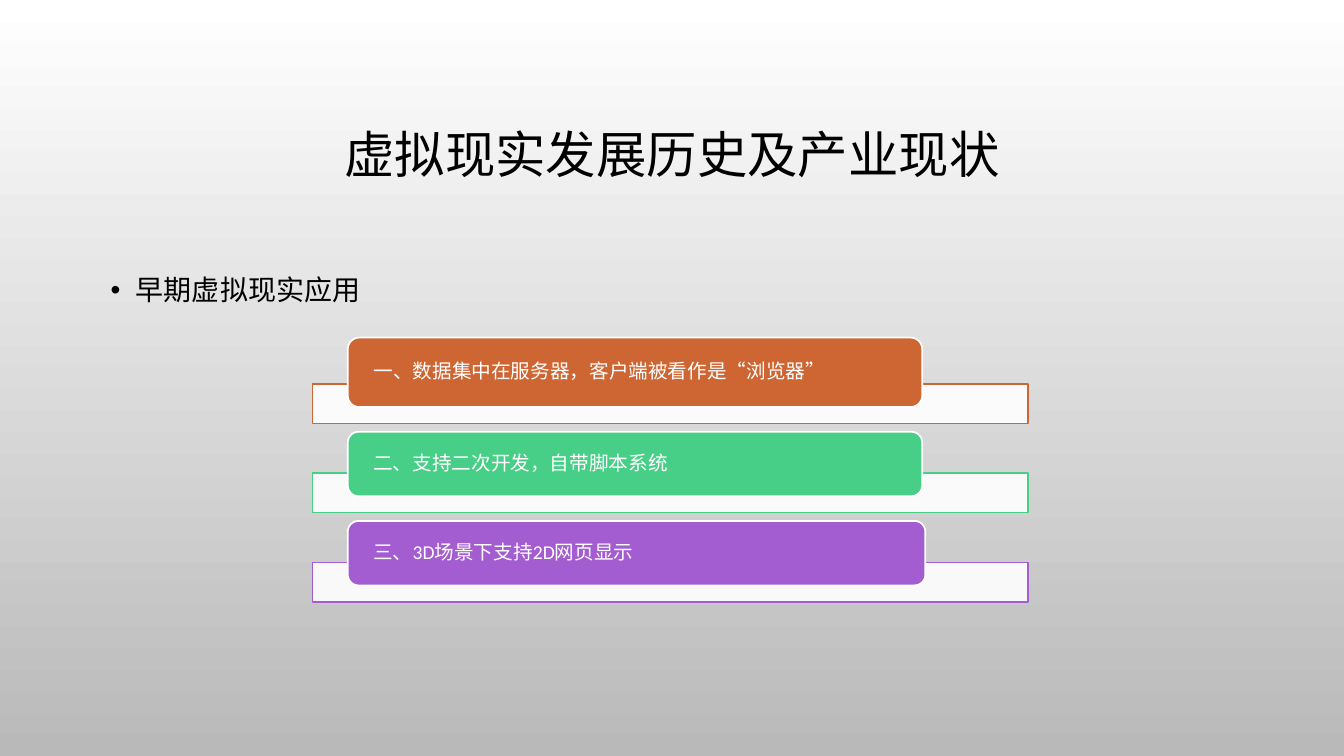
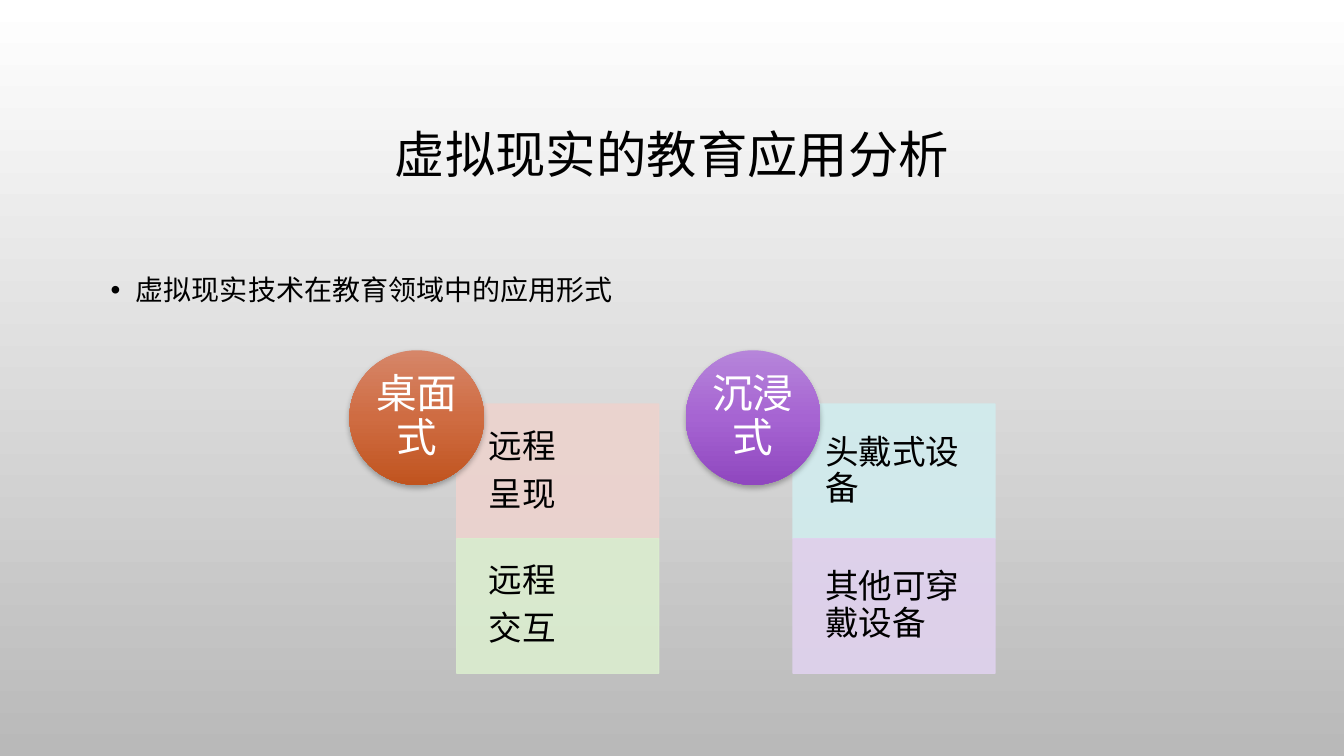
from copy import deepcopy
from dataclasses import dataclass

from lxml.etree import SubElement
from pptx import Presentation
from pptx.dml.color import RGBColor
from pptx.enum.shapes import MSO_SHAPE as Preset
from pptx.enum.text import MSO_ANCHOR as Anchor, MSO_AUTO_SIZE as AutoSize, PP_ALIGN as Align
from pptx.oxml.ns import qn
from pptx.util import Pt


@dataclass(frozen=True)
class Theme:
    font: str = "Calibri"
    black: str = "000000"
    white: str = "FFFFFF"
    backdrop: tuple = ("FFFFFF", "B9B9B9")
    orange: str = "CE6633"
    green: str = "48CF87"
    purple: str = "A35DD1"
    orange_ball: tuple = ("D68669", "CF6C42", "C0541F")
    purple_ball: tuple = ("B685DA", "A664D2", "8F47BF")
    pale_orange: str = "EDD3CE"
    pale_green: str = "DBEDCF"
    pale_blue: str = "D1ECEE"
    pale_purple: str = "E0D2EE"
    title_size: float = 36
    ball_size: float = 29
    cell_size: float = 24
    bullet_size: float = 20
    bar_size: float = 14


THEME = Theme()
TITLE_ONLY = 5


def set_gradient(fill, colors):
    """Fill from top to bottom with evenly spaced colours."""
    fill.gradient()
    fill.gradient_angle = 270
    last = fill.gradient_stops[-1]._gs
    for _ in colors[2:]:
        last.addprevious(deepcopy(last))
    # The stop collection is read again to include the added stops.
    for index, (stop, color) in enumerate(zip(fill.gradient_stops, colors)):
        stop.position = index / (len(colors) - 1)
        stop.color.rgb = RGBColor.from_string(color)


def set_solid(fill, color, opacity=100):
    fill.solid()
    fill.fore_color.rgb = RGBColor.from_string(color)
    if opacity < 100:
        element = fill._xPr.find(qn("a:solidFill")).find(qn("a:srgbClr"))
        SubElement(element, qn("a:alpha"), val=str(opacity * 1000))


class SlideBuilder:
    """Holds the deck, its theme and the slide being filled."""

    def __init__(self, theme):
        self.theme = theme
        self.deck = Presentation()
        self.deck.slide_width, self.deck.slide_height = Pt(960), Pt(540)
        set_gradient(self.deck.slide_master.background.fill, theme.backdrop)
        self.page = None

    def start_page(self, title, subtitle, subtitle_width):
        self.page = self.deck.slides.add_slide(self.deck.slide_layouts[TITLE_ONLY])
        box = self.page.shapes.title
        box.left, box.top, box.width, box.height = Pt(72), Pt(49), Pt(816), Pt(126)
        self.set_text(box, [title], self.theme.title_size, self.theme.black, Align.CENTER)
        self.bullet(subtitle, subtitle_width)

    def set_text(self, box, lines, size, color, align=Align.LEFT, margins=None, space_after=0):
        frame = box.text_frame
        frame.word_wrap = True
        frame.auto_size = AutoSize.NONE
        frame.vertical_anchor = Anchor.MIDDLE
        if margins:
            (frame.margin_left, frame.margin_top,
             frame.margin_right, frame.margin_bottom) = map(Pt, margins)
        frame.text = "\n".join(lines)
        for para in frame.paragraphs:
            para.alignment = align
            para.line_spacing = 0.9
            para.space_before = Pt(0)
            para.space_after = Pt(space_after)
            self.style(para, size, color)

    def style(self, para, size, color):
        para.font.name = self.theme.font
        para.font.size = Pt(size)
        para.font.color.rgb = RGBColor.from_string(color)

    def bullet(self, text, width):
        box = self.page.shapes.add_textbox(Pt(72), Pt(186.5), Pt(width), Pt(40))
        box.text_frame.word_wrap = True
        para = box.text_frame.paragraphs[0]
        para.text = text
        para.line_spacing = 1.2
        para.space_before = Pt(10)
        properties = para._p.get_or_add_pPr()
        properties.set("marL", str(Pt(18)))
        properties.set("indent", str(Pt(-18)))
        SubElement(properties, qn("a:buFont"), typeface="Arial")
        SubElement(properties, qn("a:buChar"), char="•")
        self.style(para, self.theme.bullet_size, self.theme.black)

    def shape(self, preset, left, top, width, height):
        shape = self.page.shapes.add_shape(preset, Pt(left), Pt(top), Pt(width), Pt(height))
        shape.shadow.inherit = False
        return shape

    def panel(self, preset, frame, fill, line, line_width, opacity=100, line_opacity=100):
        shape = self.shape(preset, *frame)
        set_solid(shape.fill, fill, opacity)
        shape.line.width = Pt(line_width)
        set_solid(shape.line.fill, line, line_opacity)
        return shape

    def bar(self, text, color, top, label_width, label_height):
        """Draw a pale strip with a coloured label overlapping its top edge."""
        white, size = self.theme.white, self.theme.bar_size
        self.panel(Preset.RECTANGLE, (223.2, top, 511.2, 28.1), white, color, 1.25, opacity=90)
        label_top = top + 16.4 - label_height
        label = self.panel(Preset.ROUNDED_RECTANGLE,
                           (248.4, label_top, label_width, label_height), color, white, 1.25)
        self.set_text(label, [text], size, white, margins=(16, 0, 16, 0),
                      space_after=0.35 * size)

    def cell(self, lines, color, left, top, width, height):
        cell = self.panel(Preset.RECTANGLE, (left, top, width, height), color, color, 0.75,
                          opacity=90, line_opacity=90)
        size = self.theme.cell_size
        self.set_text(cell, lines, size, self.theme.black,
                      margins=(23, 13.7, 13.7, 13.7), space_after=0.35 * size)

    def ball(self, text, colors, left, top, diameter):
        ball = self.shape(Preset.OVAL, left, top, diameter, diameter)
        set_gradient(ball.fill, colors)
        ball.line.fill.background()
        effects = ball._element.spPr.find(qn("a:effectLst"))
        shadow = SubElement(effects, qn("a:outerShdw"), blurRad=str(Pt(4)), dist=str(Pt(2)),
                            dir="5400000", algn="ctr", rotWithShape="0")
        tint = SubElement(shadow, qn("a:srgbClr"), val=self.theme.black)
        SubElement(tint, qn("a:alpha"), val="28000")
        size = self.theme.ball_size
        self.set_text(ball, [text], size, self.theme.white, Align.CENTER,
                      margins=(0, 0, 0, 0), space_after=0.35 * size)


def add_history_page(builder):
    theme = builder.theme
    builder.start_page("虚拟现实发展历史及产业现状", "早期虚拟现实应用", 209)
    bars = [
        ("一、数据集中在服务器，客户端被看作是“浏览器”", theme.orange, 410.4, 49.7),
        ("二、支持二次开发，自带脚本系统", theme.green, 410.4, 46.1),
        ("三、3D场景下支持2D网页显示", theme.purple, 412.6, 46.1),
    ]
    for row, (text, color, width, height) in enumerate(bars):
        builder.bar(text, color, 274.4 + 63.7 * row, width, height)


def add_education_page(builder):
    theme = builder.theme
    builder.start_page("虚拟现实的教育应用分析", "虚拟现实技术在教育领域中的应用形式", 388)
    columns = [
        ("桌面式", theme.orange_ball,
         [(["远程", "呈现"], theme.pale_orange), (["远程", "交互"], theme.pale_green)]),
        ("沉浸式", theme.purple_ball,
         [(["头戴式设备"], theme.pale_blue), (["其他可穿戴设备"], theme.pale_purple)]),
    ]
    cell_width, cell_height, top = 144.4, 96.2, 288.6
    for column, (heading, ball_colors, cells) in enumerate(columns):
        left = 326.2 + 240.2 * column
        for row, (lines, color) in enumerate(cells):
            builder.cell(lines, color, left, top + cell_height * row, cell_width, cell_height)
        builder.ball(heading, ball_colors, left - 76.6, top - 38.4, 96.2)


def main():
    builder = SlideBuilder(THEME)
    add_history_page(builder)
    add_education_page(builder)
    builder.deck.save("out.pptx")


if __name__ == "__main__":
    main()
